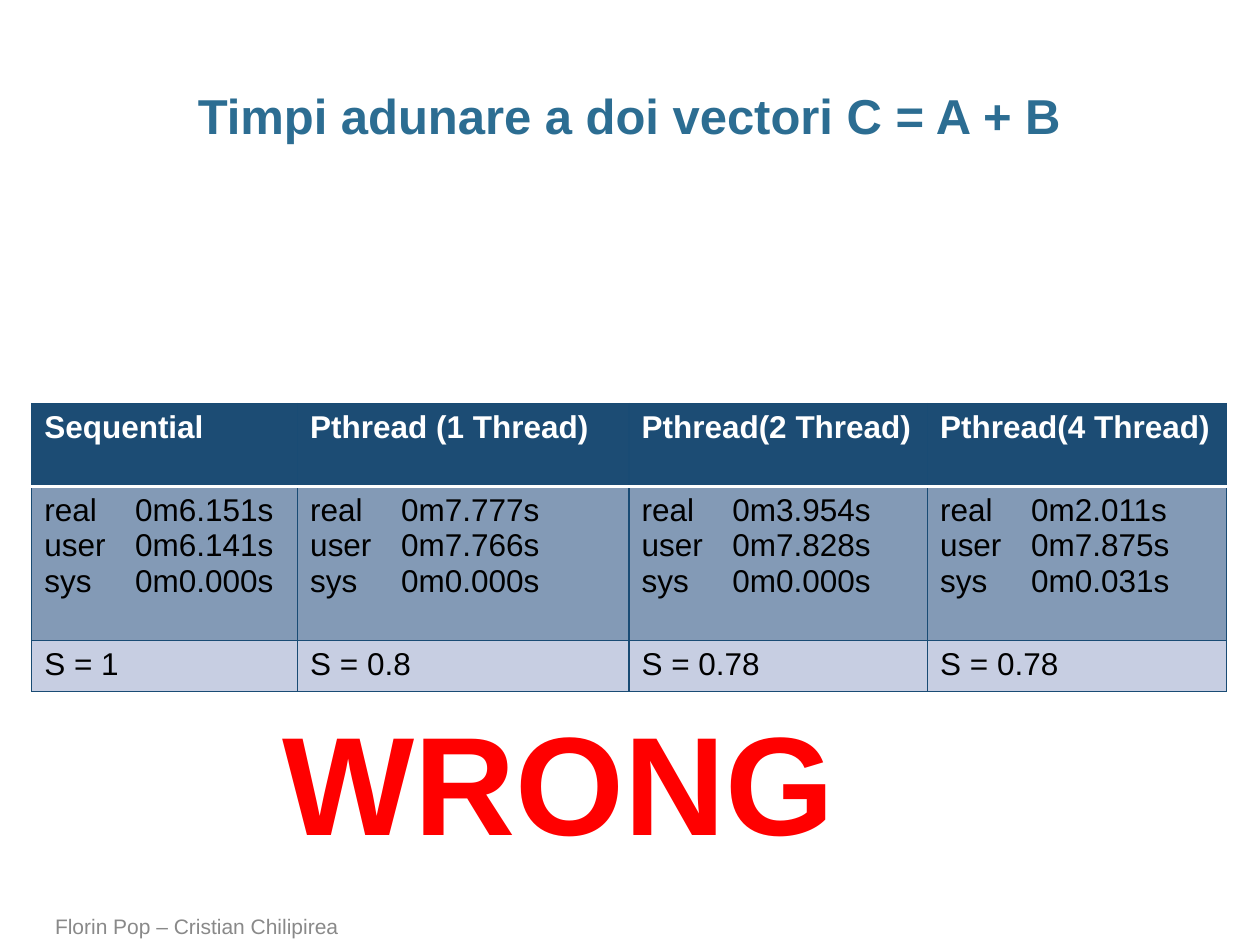
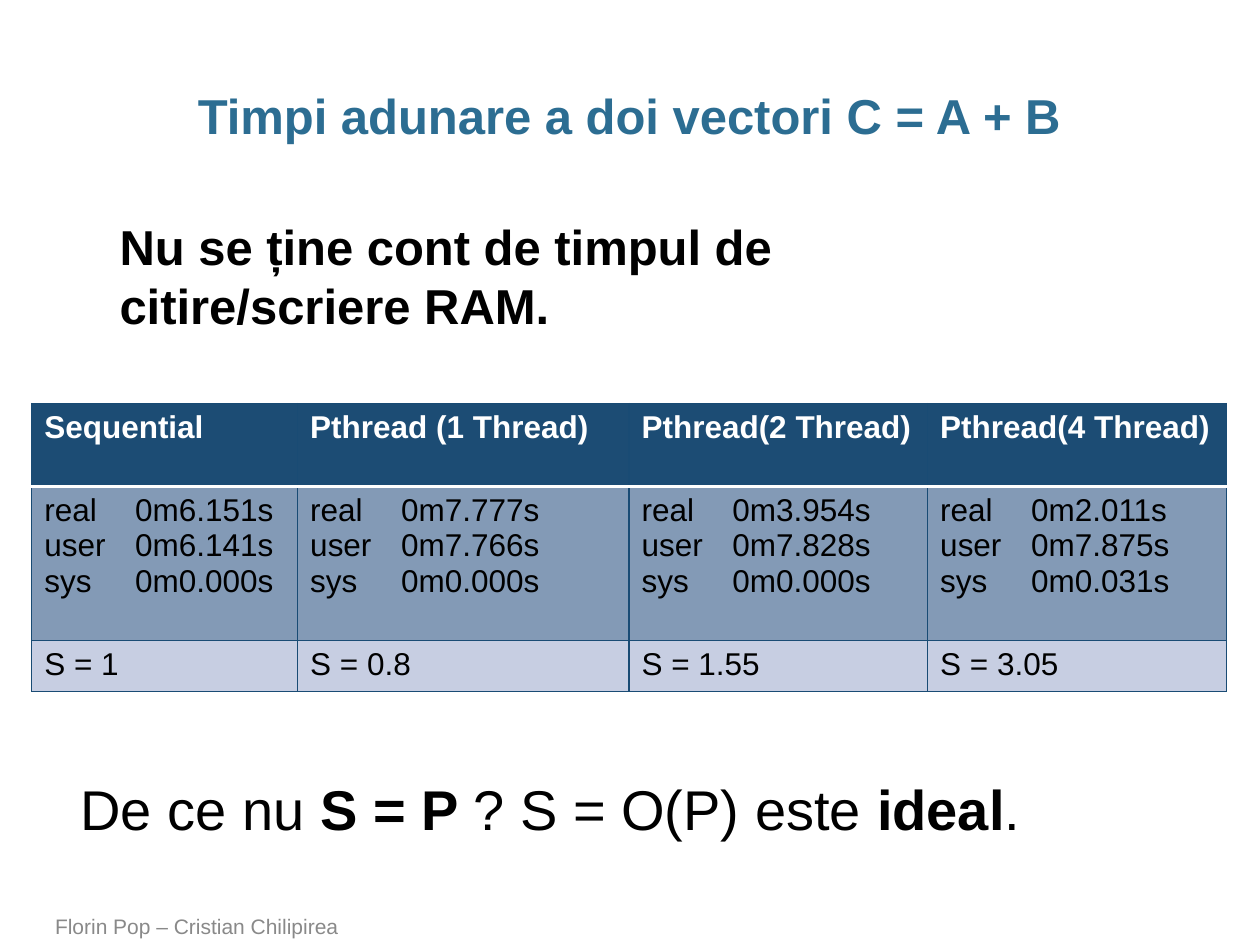
"""Build two slides comparing the run times of a vector addition."""
from lxml import etree
from pptx import Presentation
from pptx.dml.color import RGBColor
from pptx.enum.text import MSO_ANCHOR, MSO_AUTO_SIZE, PP_ALIGN
from pptx.oxml.ns import qn
from pptx.util import Cm, Pt

TOP, MIDDLE, BOTTOM = MSO_ANCHOR.TOP, MSO_ANCHOR.MIDDLE, MSO_ANCHOR.BOTTOM
CENTER = PP_ALIGN.CENTER
NO_FIT = MSO_AUTO_SIZE.NONE
TITLE_ONLY = 5

FONT = "Arial"
BLACK, WHITE, RED, GREY = "000000", "FFFFFF", "FF0000", "898989"
TITLE_BLUE, HEADER_BLUE, BORDER_BLUE = "2C6D92", "1C4C74", "194B74"
TIMES_BLUE, SPEEDUP_BLUE = "839AB6", "C7CEE2"

TITLE = "Timpi adunare a doi vectori C = A + B"
AUTHORS = "Florin Pop – Cristian Chilipirea"
HEADERS = ["Sequential", "Pthread (1 Thread)", "Pthread(2 Thread)", "Pthread(4 Thread)"]
CLOCKS = ["real", "user", "sys"]
TIMES = [
    ["0m6.151s", "0m6.141s", "0m0.000s"],
    ["0m7.777s", "0m7.766s", "0m0.000s"],
    ["0m3.954s", "0m7.828s", "0m0.000s"],
    ["0m2.011s", "0m7.875s", "0m0.031s"],
]
COL_WIDTHS = [5.36, 6.68, 6.02, 6.02]
ROW_HEIGHTS = [1.68, 3.1, 1.03]
TAB_STOP = 1.83


def rgb(color):
    """Turn a hex string into a colour."""
    return RGBColor.from_string(color)


def add_run(p, text, size, color=BLACK, bold=False):
    """Append a formatted run to a paragraph."""
    r = p.add_run()
    r.text = text
    for name, value in {"name": FONT, "size": Pt(size), "bold": bold}.items():
        setattr(r.font, name, value)
    r.font.color.rgb = rgb(color)


def add_text(slide, box, runs, size, color=BLACK, wrap=True, anchor=TOP):
    """Add a text box holding one paragraph of (text, bold) runs."""
    tf = slide.shapes.add_textbox(*map(Cm, box)).text_frame
    tf.word_wrap = wrap
    tf.vertical_anchor = anchor
    for text, bold in runs:
        add_run(tf.paragraphs[0], text, size, color, bold)


def set_title(slide):
    """Place and fill the title placeholder."""
    sp = slide.shapes.title
    sp.left, sp.top, sp.width, sp.height = map(Cm, (0.86, 1.73, 23.65, 1.27))
    tf = sp.text_frame
    frame = {"margin_left": 0, "margin_right": 0, "word_wrap": True,
             "auto_size": NO_FIT, "vertical_anchor": MIDDLE}
    for name, value in frame.items():
        setattr(tf, name, value)
    p = tf.paragraphs[0]
    p.alignment = CENTER
    p.line_spacing = 0.95
    add_run(p, TITLE, 28, TITLE_BLUE, True)


def set_tab(p):
    """Give a paragraph the tab stop that lines up the times."""
    tabs = etree.SubElement(p._p.get_or_add_pPr(), qn("a:tabLst"))
    etree.SubElement(tabs, qn("a:tab"), pos=str(Cm(TAB_STOP)), algn="l")


def set_borders(cell, top, bottom):
    """Draw the four borders of a cell, given (colour, points) for top and bottom."""
    side = (BORDER_BLUE, 0.75)
    tc_pr = cell._tc.get_or_add_tcPr()
    edges = {"a:lnL": side, "a:lnR": side, "a:lnT": top, "a:lnB": bottom}
    for i, (tag, (color, width)) in enumerate(edges.items()):
        ln = etree.Element(qn(tag), w=str(Pt(width)))
        fill = etree.SubElement(ln, qn("a:solidFill"))
        etree.SubElement(fill, qn("a:srgbClr"), val=color)
        tc_pr.insert(i, ln)


def fill_cell(cell, lines, fill, color=BLACK, bold=False):
    """Fill a cell with one paragraph per line."""
    cell.fill.solid()
    cell.fill.fore_color.rgb = rgb(fill)
    tf = cell.text_frame
    for i, line in enumerate(lines):
        p = tf.add_paragraph() if i else tf.paragraphs[0]
        if "\t" in line:
            set_tab(p)
        add_run(p, line, 18, color, bold)


def add_times_table(slide, speedups):
    """Add the table of run times with its row of speedups."""
    box = map(Cm, (0.64, 8.13, sum(COL_WIDTHS), sum(ROW_HEIGHTS)))
    table = slide.shapes.add_table(len(ROW_HEIGHTS), len(COL_WIDTHS), *box).table
    for row, height in zip(table.rows, ROW_HEIGHTS):
        row.height = Cm(height)
    thin, thick = (BORDER_BLUE, 0.75), (WHITE, 2)
    edges = [(thin, thick), (thick, thin), (thin, thin)]
    for col, width in enumerate(COL_WIDTHS):
        table.columns[col].width = Cm(width)
        times = [f"{clock}\t{time}" for clock, time in zip(CLOCKS, TIMES[col])]
        fill_cell(table.cell(0, col), [HEADERS[col]], HEADER_BLUE, WHITE, True)
        fill_cell(table.cell(1, col), times, TIMES_BLUE)
        fill_cell(table.cell(2, col), [f"S = {speedups[col]}"], SPEEDUP_BLUE)
        for row, (top, bottom) in enumerate(edges):
            set_borders(table.cell(row, col), top, bottom)


def add_times_slide(prs, speedups):
    """Add a slide with the shared title, footer and table."""
    slide = prs.slides.add_slide(prs.slide_layouts[TITLE_ONLY])
    set_title(slide)
    add_text(slide, (0.86, 18.34, 18.72, 0.71), [(AUTHORS, False)], 12, GREY, anchor=BOTTOM)
    add_times_table(slide, speedups)
    return slide


def main():
    """Build and save the presentation."""
    prs = Presentation()
    prs.slide_width, prs.slide_height = Cm(25.4), Cm(19.05)

    slide = add_times_slide(prs, ["1", "0.8", "0.78", "0.78"])
    add_text(slide, (5.44, 13.89, 11.76, 3.68), [("WRONG", True)], 80, RED, wrap=False)

    slide = add_times_slide(prs, ["1", "0.8", "1.55", "3.05"])
    question = [("De ce nu ", False), ("S = P ", True), ("? S = O(P) este ", False),
                ("ideal", True), (".", False)]
    add_text(slide, (1.37, 15.49, 19.91, 1.63), question, 32, wrap=False)
    note = [("Nu se ține cont de timpul de citire/scriere RAM.", True)]
    add_text(slide, (2.16, 4.24, 17.42, 2.64), note, 28)

    prs.save("out.pptx")


if __name__ == "__main__":
    main()
